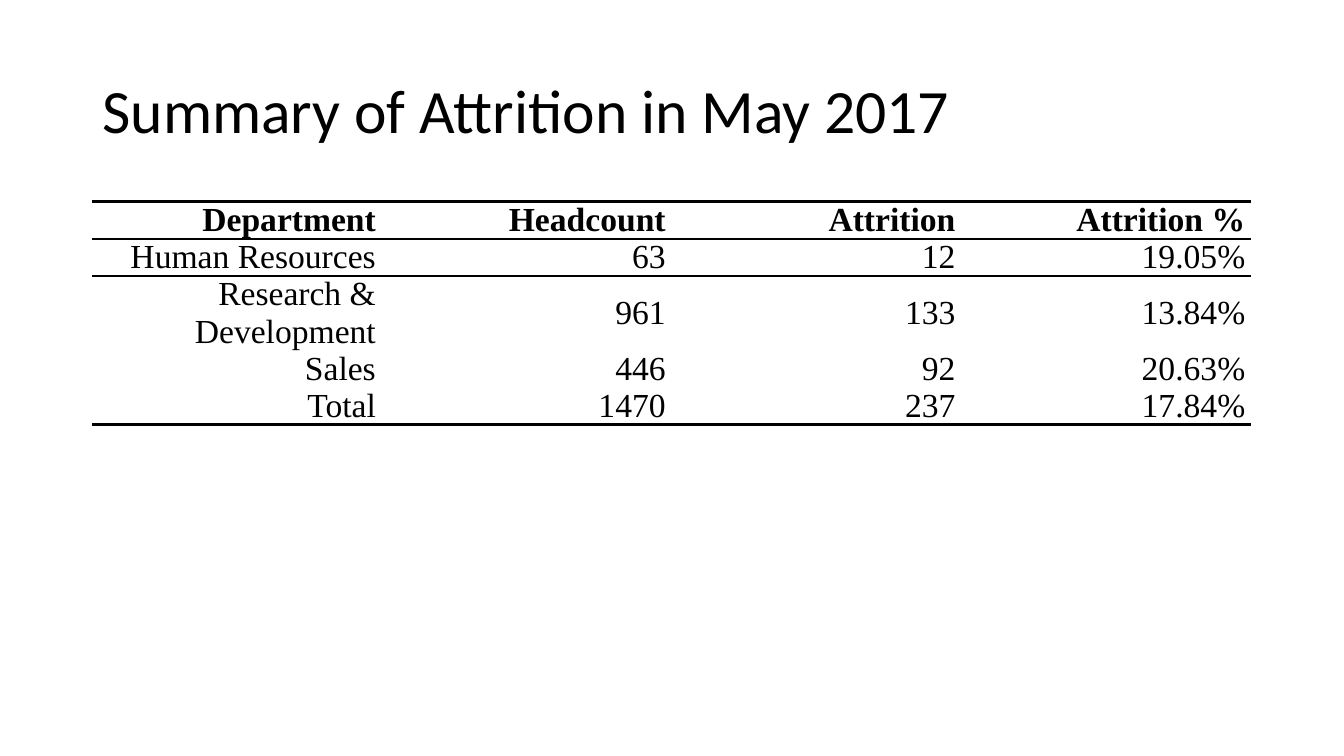
from typing import NamedTuple

from lxml.etree import SubElement
from pptx import Presentation
from pptx.dml.color import RGBColor
from pptx.enum.text import MSO_ANCHOR, PP_ALIGN
from pptx.oxml import parse_xml
from pptx.oxml.ns import nsdecls, qn
from pptx.slide import Slide
from pptx.table import _Cell
from pptx.text.text import _Paragraph
from pptx.util import Pt

BLACK = "000000"
LEFT, WIDTH = 66, 828
ROW_HEIGHT = 26.5
PLAIN_TABLE_STYLE = "{2D5ABB26-0587-4C30-8999-92F81FD0307C}"


class Department(NamedTuple):
    name: str
    headcount: str
    attrition: str
    rate: str


HEADER = Department("Department", "Headcount", "Attrition", "Attrition %")
DEPARTMENTS = [
    Department("Human Resources", "63", "12", "19.05%"),
    Department("Research & Development", "961", "133", "13.84%"),
    Department("Sales", "446", "92", "20.63%"),
    Department("Total", "1470", "237", "17.84%"),
]


def color(value: str) -> RGBColor:
    """Turn a hex string into a colour."""
    return RGBColor.from_string(value)


def format_spans(para: _Paragraph, font: str, size: float, bold: bool = False) -> None:
    """Set the font of every run in a paragraph."""
    for span in para.runs:
        span.font.name = font
        span.font.size = Pt(size)
        span.font.bold = bold
        span.font.color.rgb = color(BLACK)


def add_title(page: Slide, text: str) -> None:
    """Fill and place the title placeholder."""
    title = page.shapes.title
    title.left, title.top = Pt(LEFT), Pt(28.75)
    title.width, title.height = Pt(WIDTH), Pt(104.4)
    title.text_frame.text = text
    title.text_frame.vertical_anchor = MSO_ANCHOR.MIDDLE
    para = title.text_frame.paragraphs[0]
    para.alignment = PP_ALIGN.LEFT
    para.line_spacing = 0.9
    format_spans(para, "Calibri", 44)


def add_rules(cell: _Cell, edges: list[str]) -> None:
    """Draw black rules on the given edges, listed in schema order."""
    properties = cell._tc.get_or_add_tcPr()
    for position, edge in enumerate(edges):
        rule = parse_xml(f'<a:{edge} {nsdecls("a")} w="{Pt(2)}"/>')
        fill = SubElement(rule, qn("a:solidFill"))
        SubElement(fill, qn("a:srgbClr"), val=BLACK)
        properties.insert(position, rule)


def fill_cell(cell: _Cell, text: str, bold: bool) -> None:
    """Write one right-aligned table cell."""
    cell.text_frame.text = text
    cell.vertical_anchor = MSO_ANCHOR.MIDDLE
    cell.margin_left = cell.margin_right = cell.margin_top = cell.margin_bottom = Pt(0)
    cell.fill.background()
    para = cell.text_frame.paragraphs[0]
    para.alignment = PP_ALIGN.RIGHT
    para.space_before = para.space_after = Pt(1)
    for side in ("marL", "marR"):
        para._p.get_or_add_pPr().set(side, str(Pt(4.5)))
    format_spans(para, "Times New Roman", 24, bold)


def add_summary(page: Slide) -> None:
    """Add the attrition table with rules around its header and below its total."""
    records = [HEADER, *DEPARTMENTS]
    frame = page.shapes.add_table(
        len(records), len(HEADER), Pt(LEFT), Pt(144), Pt(WIDTH), Pt(ROW_HEIGHT * len(records))
    )
    frame.height = Pt(342.7)
    table = frame.table
    table.first_row = table.horz_banding = False
    table._tbl.tblPr.find(qn("a:tableStyleId")).text = PLAIN_TABLE_STYLE
    rules = {0: ["lnT", "lnB"], 1: ["lnT"], len(records) - 1: ["lnB"]}
    for row, record in enumerate(records):
        for column, text in enumerate(record):
            cell = table.cell(row, column)
            fill_cell(cell, text, bold=row == 0)
            add_rules(cell, rules.get(row, []))


def main() -> None:
    """Build and save the slide."""
    deck = Presentation()
    deck.slide_width, deck.slide_height = Pt(960), Pt(540)
    page = deck.slides.add_slide(deck.slide_layouts[5])
    add_title(page, "Summary of Attrition in May 2017")
    add_summary(page)
    deck.save("out.pptx")


main()
